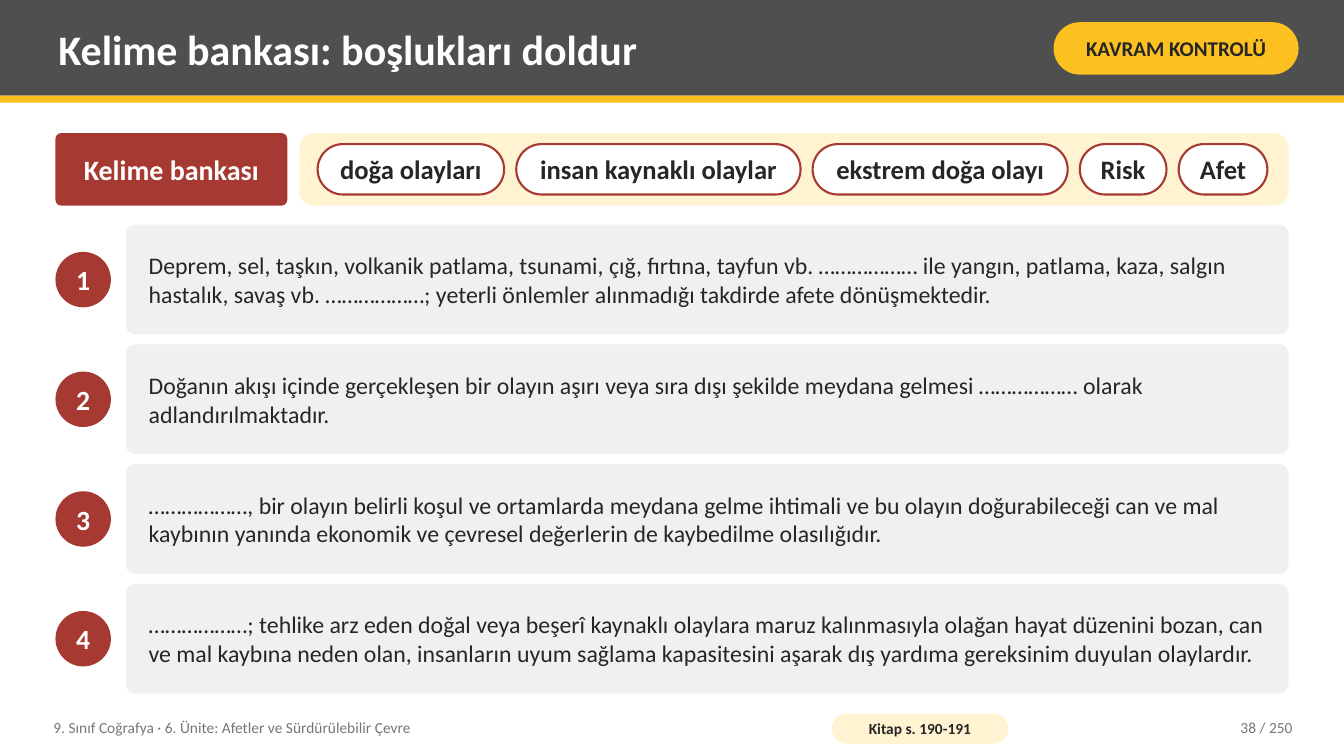
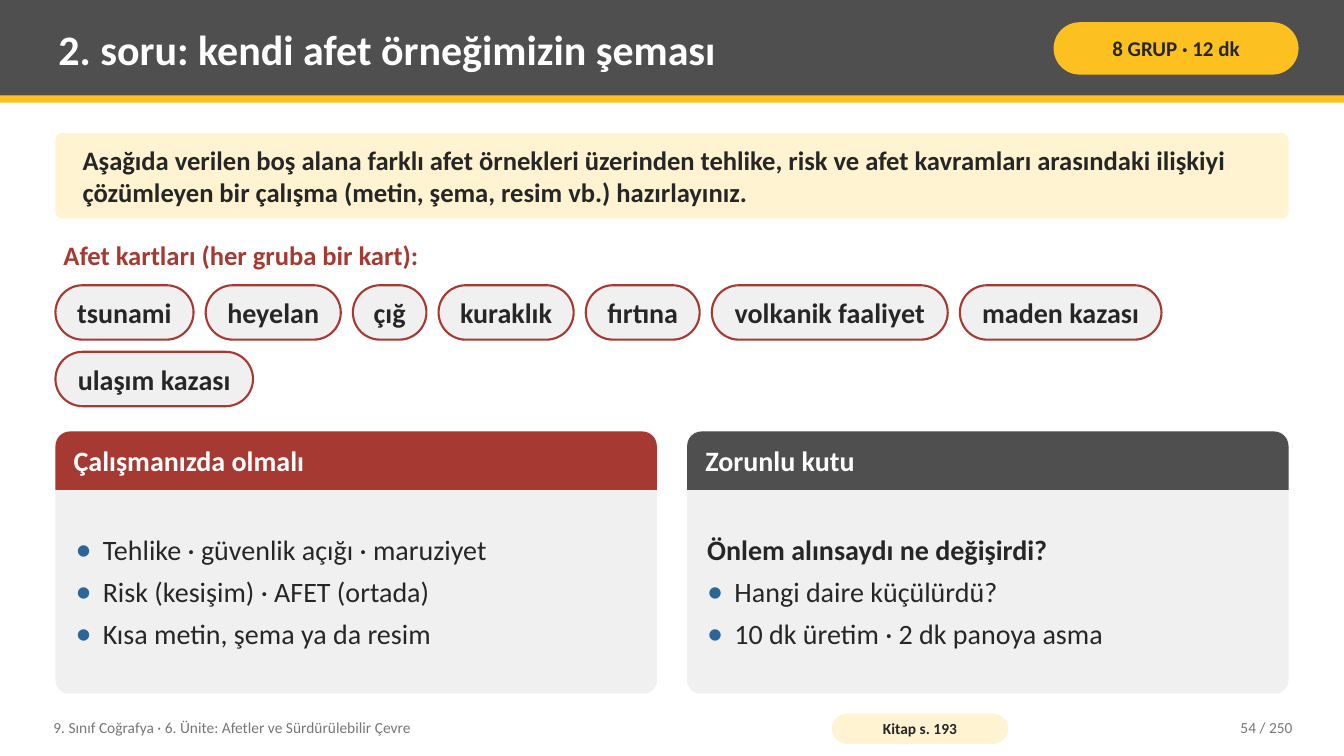
from dataclasses import dataclass

import lxml.etree
import pptx
import pptx.dml.color
import pptx.enum.shapes
import pptx.enum.text
import pptx.oxml.ns
import pptx.util

RGBColor = pptx.dml.color.RGBColor
SHAPE = pptx.enum.shapes.MSO_SHAPE
ALIGN = pptx.enum.text.PP_ALIGN
ANCHOR = pptx.enum.text.MSO_ANCHOR

CHARCOAL = RGBColor(0x4F, 0x4F, 0x4F)
AMBER = RGBColor(0xFC, 0xC0, 0x21)
BRICK = RGBColor(0xA6, 0x3A, 0x32)
CREAM = RGBColor(0xFF, 0xF3, 0xD1)
MIST = RGBColor(0xF0, 0xF0, 0xF0)
WHITE = RGBColor(0xFF, 0xFF, 0xFF)
INK = RGBColor(0x26, 0x26, 0x26)
GREY = RGBColor(0x76, 0x76, 0x76)
BLUE = RGBColor(0x2C, 0x66, 0x96)

FONT = "Calibri"
UNIT = "9. Sınıf Coğrafya · 6. Ünite: Afetler ve Sürdürülebilir Çevre"
PAGE_COUNT = 250
CHIP_GAP = 0.12
TEXT_INSETS = (0.08, 0.04)
BULLET_INDENT = 0.27


@dataclass
class Box:
    """A region of the slide, in inches."""
    left: float
    top: float
    width: float
    height: float

    def area(self, left=0, top=0, width=None, height=None):
        """Region offset from this one, reaching its far edges by default."""
        return Box(self.left + left, self.top + top,
                   self.width - left if width is None else width,
                   self.height - top if height is None else height)

    def inset(self, dx, dy):
        return self.area(dx, dy, self.width - 2 * dx, self.height - 2 * dy)

    def rows(self, count, gap):
        height = (self.height - gap * (count - 1)) / count
        return [self.area(top=i * (height + gap), height=height) for i in range(count)]

    def columns(self, count, gap):
        width = (self.width - gap * (count - 1)) / count
        return [self.area(left=i * (width + gap), width=width) for i in range(count)]

    def emu(self):
        return [pptx.util.Inches(v) for v in (self.left, self.top, self.width, self.height)]


PAGE = Box(0, 0, 13.33, 7.5)
HEADER = PAGE.area(height=0.95)
CONTENT = Box(0.55, 1.32, 12.23, 5.56)
FOOTER = PAGE.area(0.45, 7.04, 12.45, 0.36)


def prepare_frame(frame, insets, anchor=ANCHOR.MIDDLE):
    frame.word_wrap = True
    frame.vertical_anchor = anchor
    frame.margin_left = frame.margin_right = pptx.util.Inches(insets[0])
    frame.margin_top = frame.margin_bottom = pptx.util.Inches(insets[1])


def write(paragraph, text, size, color, bold=False, align=ALIGN.LEFT):
    paragraph.text = text
    paragraph.alignment = align
    for run in paragraph.runs:
        run.font.name = FONT
        run.font.size = pptx.util.Pt(size)
        run.font.bold = bold
        run.font.color.rgb = color


def add_panel(slide, box, fill, kind=SHAPE.RECTANGLE, rounding=None, outline=None):
    panel = slide.shapes.add_shape(kind, *box.emu())
    panel.shadow.inherit = False
    panel.fill.solid()
    panel.fill.fore_color.rgb = fill
    if rounding is not None:
        panel.adjustments[0] = rounding
    if outline is None:
        panel.line.fill.background()
    else:
        panel.line.color.rgb = outline
        panel.line.width = pptx.util.Pt(1.5)
    return panel


def add_rounded(slide, box, fill, rounding, outline=None):
    return add_panel(slide, box, fill, SHAPE.ROUNDED_RECTANGLE, rounding, outline)


def label(panel, text, size, color, insets, bold=True, align=ALIGN.CENTER):
    prepare_frame(panel.text_frame, insets)
    write(panel.text_frame.paragraphs[0], text, size, color, bold, align)


def add_text(slide, box, text, size, color, bold=False, align=ALIGN.LEFT,
             anchor=ANCHOR.MIDDLE):
    frame = slide.shapes.add_textbox(*box.emu()).text_frame
    prepare_frame(frame, TEXT_INSETS, anchor)
    write(frame.paragraphs[0], text, size, color, bold, align)


def add_bullet(paragraph):
    properties = paragraph._p.get_or_add_pPr()
    indent = pptx.util.Inches(BULLET_INDENT)
    properties.set("marL", str(indent))
    properties.set("indent", str(-indent))
    qn = pptx.oxml.ns.qn
    tint = lxml.etree.SubElement(properties, qn("a:buClr"))
    lxml.etree.SubElement(tint, qn("a:srgbClr"), val=str(BLUE))
    lxml.etree.SubElement(properties, qn("a:buSzPct"), val="115000")
    lxml.etree.SubElement(properties, qn("a:buFont"), typeface=FONT)
    lxml.etree.SubElement(properties, qn("a:buChar"), char="•")


def add_header(slide, box, title, tag):
    add_panel(slide, box, CHARCOAL)
    add_panel(slide, box.area(top=box.height, height=0.07), AMBER)
    add_text(slide, box.area(0.5, 0.07, 9.75, 0.82), title, 30, WHITE, bold=True)
    pill = add_rounded(slide, box.area(10.45, 0.22, 2.43, 0.52), AMBER, 0.5)
    label(pill, tag, 15, INK, (0.05, 0.02))


def add_footer(slide, box, book_pages, number):
    add_text(slide, box.area(width=7.6), UNIT, 11, GREY)
    pill = add_rounded(slide, box.area(7.8, 0.04, 1.75, 0.3), CREAM, 0.5)
    label(pill, f"Kitap s. {book_pages}", 11, INK, (0.04, 0))
    add_text(slide, box.area(left=10.85), f"{number} / {PAGE_COUNT}", 11, GREY,
             align=ALIGN.RIGHT)


def add_lesson_slide(deck, title, tag, book_pages, number):
    slide = deck.slides.add_slide(deck.slide_layouts[6])
    add_header(slide, HEADER, title, tag)
    add_footer(slide, FOOTER, book_pages, number)
    return slide


def add_chips(slide, box, chips, chip_height, size, fill):
    """Flow (word, width) chips from left to right, wrapping at the box's edge."""
    x = y = 0
    for word, width in chips:
        if x + width > box.width:
            x, y = 0, y + chip_height + CHIP_GAP
        chip = add_rounded(slide, box.area(x, y, width, chip_height), fill, 0.5, BRICK)
        label(chip, word, size, INK, (0.06, 0))
        x += width + CHIP_GAP


def add_word_bank(slide, box, heading, chips):
    plate = add_rounded(slide, box.area(width=2.3), BRICK, 0.08)
    label(plate, heading, 20, WHITE, (0.14, 0.08))
    tray = box.area(left=2.42)
    add_rounded(slide, tray, CREAM, 0.2)
    add_chips(slide, tray.inset(0.18, 0.11), chips, 0.5, 19, WHITE)


def add_statements(slide, box, statements):
    badge_size = 0.55
    rows = box.rows(len(statements), 0.1)
    for number, (row, statement) in enumerate(zip(rows, statements), 1):
        badge_box = row.area(0, (row.height - badge_size) / 2, badge_size, badge_size)
        badge = add_panel(slide, badge_box, BRICK, SHAPE.OVAL)
        label(badge, str(number), 19.8, WHITE, (0, 0))
        card = add_rounded(slide, row.area(left=0.7), MIST, 0.08)
        label(card, statement, 17, INK, (0.2, 0.08), bold=False, align=ALIGN.LEFT)


def add_task_card(slide, box, heading, color, bullets, lead=None):
    """Card with a coloured heading; lead is a bold line above the bullets."""
    add_rounded(slide, box, MIST, 0.05)
    cap = box.area(height=0.58)
    add_panel(slide, cap, color, SHAPE.ROUND_2_SAME_RECTANGLE, 0.25)
    add_text(slide, cap.inset(0.1, 0), heading, 20, WHITE, bold=True)

    body = box.area(top=cap.height).inset(0.12, 0.08)
    frame = slide.shapes.add_textbox(*body.emu()).text_frame
    prepare_frame(frame, TEXT_INSETS)
    lines = ([lead] if lead else []) + bullets
    for i, line in enumerate(lines):
        paragraph = frame.add_paragraph() if i else frame.paragraphs[0]
        if line != lead:
            add_bullet(paragraph)
        if i < len(lines) - 1:
            paragraph.space_after = pptx.util.Pt(6)
        write(paragraph, line, 20, INK, bold=line == lead)


def build_word_bank_slide(deck):
    slide = add_lesson_slide(deck, "Kelime bankası: boşlukları doldur",
                             "KAVRAM KONTROLÜ", "190-191", 38)
    add_word_bank(slide, CONTENT.area(height=0.72), "Kelime bankası", [
        ("doğa olayları", 1.85), ("insan kaynaklı olaylar", 2.82),
        ("ekstrem doğa olayı", 2.53), ("Risk", 0.86), ("Afet", 0.88)])
    add_statements(slide, CONTENT.area(top=0.91), [
        "Deprem, sel, taşkın, volkanik patlama, tsunami, çığ, fırtına, tayfun vb. "
        "……………… ile yangın, patlama, kaza, salgın hastalık, savaş vb. ………………; "
        "yeterli önlemler alınmadığı takdirde afete dönüşmektedir.",
        "Doğanın akışı içinde gerçekleşen bir olayın aşırı veya sıra dışı şekilde "
        "meydana gelmesi ……………… olarak adlandırılmaktadır.",
        "………………, bir olayın belirli koşul ve ortamlarda meydana gelme ihtimali ve bu "
        "olayın doğurabileceği can ve mal kaybının yanında ekonomik ve çevresel "
        "değerlerin de kaybedilme olasılığıdır.",
        "………………; tehlike arz eden doğal veya beşerî kaynaklı olaylara maruz "
        "kalınmasıyla olağan hayat düzenini bozan, can ve mal kaybına neden olan, "
        "insanların uyum sağlama kapasitesini aşarak dış yardıma gereksinim duyulan "
        "olaylardır."])


def build_group_task_slide(deck):
    slide = add_lesson_slide(deck, "2. soru: kendi afet örneğimizin şeması",
                             "8 GRUP · 12 dk", "193", 54)
    task = add_rounded(slide, CONTENT.area(height=0.85), CREAM, 0.08)
    label(task, "Aşağıda verilen boş alana farklı afet örnekleri üzerinden tehlike, risk "
          "ve afet kavramları arasındaki ilişkiyi çözümleyen bir çalışma (metin, şema, "
          "resim vb.) hazırlayınız.", 19, INK, (0.25, 0.08), align=ALIGN.LEFT)
    add_text(slide, CONTENT.area(top=1.01, height=0.45),
             "Afet kartları (her gruba bir kart):", 19, BRICK, bold=True,
             anchor=ANCHOR.TOP)
    add_chips(slide, CONTENT.area(top=1.51, height=1.2), [
        ("tsunami", 1.37), ("heyelan", 1.34), ("çığ", 0.73), ("kuraklık", 1.34),
        ("fırtına", 1.13), ("volkanik faaliyet", 2.34), ("maden kazası", 2.0),
        ("ulaşım kazası", 1.96)], 0.54, 20, MIST)
    contents_box, required_box = CONTENT.area(top=2.96).columns(2, 0.3)
    add_task_card(slide, contents_box, "Çalışmanızda olmalı", BRICK, [
        "Tehlike · güvenlik açığı · maruziyet",
        "Risk (kesişim) · AFET (ortada)",
        "Kısa metin, şema ya da resim"])
    add_task_card(slide, required_box, "Zorunlu kutu", CHARCOAL, [
        "Hangi daire küçülürdü?",
        "10 dk üretim · 2 dk panoya asma"], lead="Önlem alınsaydı ne değişirdi?")


def main():
    deck = pptx.Presentation()
    deck.slide_width = pptx.util.Inches(PAGE.width)
    deck.slide_height = pptx.util.Inches(PAGE.height)
    build_word_bank_slide(deck)
    build_group_task_slide(deck)
    deck.save("out.pptx")


if __name__ == "__main__":
    main()
